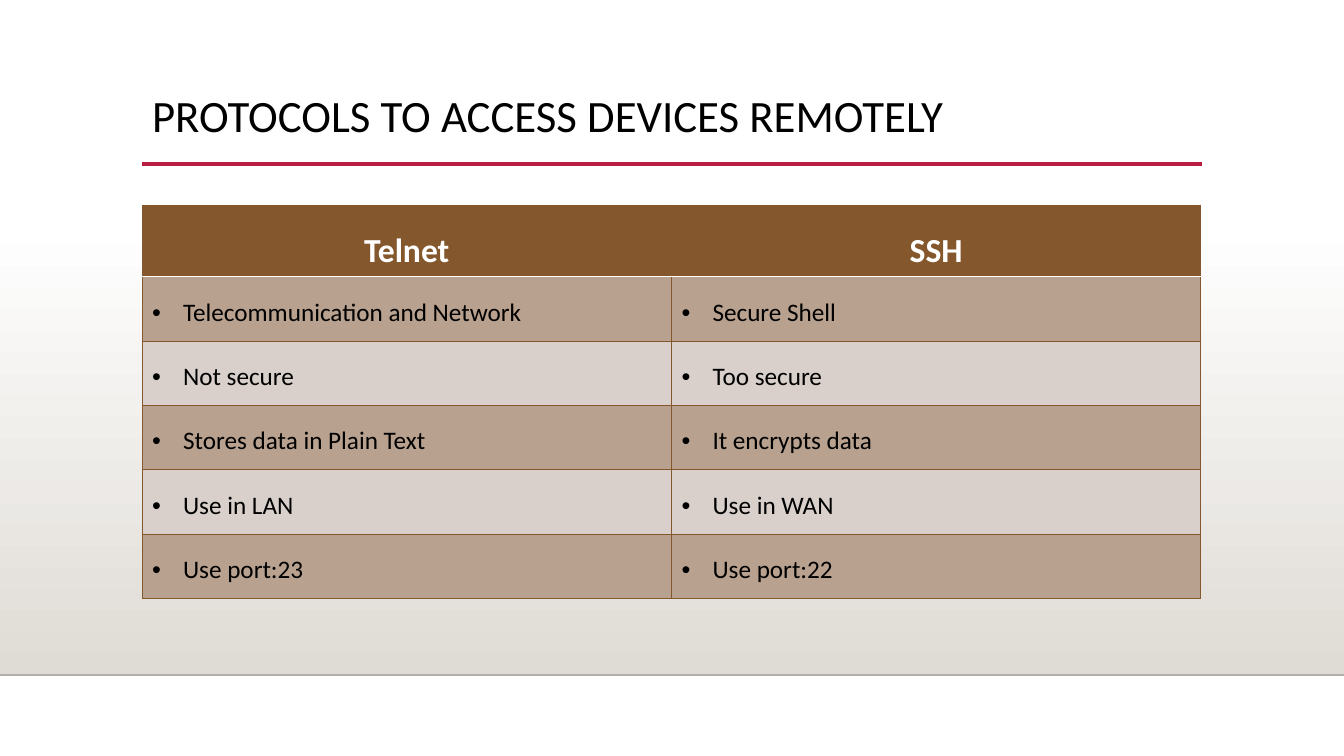
from lxml.etree import SubElement
from pptx import Presentation
from pptx.dml.color import RGBColor
from pptx.enum.shapes import MSO_CONNECTOR, MSO_SHAPE
from pptx.enum.text import MSO_ANCHOR, PP_ALIGN
from pptx.oxml import parse_xml
from pptx.oxml.ns import nsdecls, qn
from pptx.util import Pt

PX = 914400 / 100.8
FONT = "Calibri"
COLORS = {
    "text": "000000",
    "white": "FFFFFF",
    "brown": "84582C",
    "dark_band": "B8A18E",
    "light_band": "D9D0CB",
    "floor": "DFDBD5",
    "floor_edge": "B2AFAA",
    "accent": "B71E42",
}
ROWS = [
    ("Telnet", "SSH"),
    ("Telecommunication and Network", "Secure Shell"),
    ("Not secure", "Too secure"),
    ("Stores data in Plain Text", "It encrypts data"),
    ("Use in LAN", "Use in WAN"),
    ("Use port:23", "Use port:22"),
]


def px(length):
    return round(length * PX)


def color(name):
    return RGBColor.from_string(COLORS[name])


def style_font(font, size, name, bold=False):
    font.name = FONT
    font.size = Pt(size)
    font.bold = bold
    font.color.rgb = color(name)


def add_rule(page, left, top, width, name, weight):
    rule = page.shapes.add_connector(
        MSO_CONNECTOR.STRAIGHT, px(left), px(top), px(left + width), px(top)
    )
    rule.line.color.rgb = color(name)
    rule.line.width = Pt(weight)
    SubElement(rule._element.spPr, qn("a:effectLst"))


def add_floor(page, left, top, width, height):
    floor = page.shapes.add_shape(
        MSO_SHAPE.RECTANGLE, px(left), px(top), px(width), px(height)
    )
    floor.shadow.inherit = False
    floor.line.fill.background()
    floor.fill.gradient()
    floor.fill.gradient_angle = 270
    for stop, name in zip(floor.fill.gradient_stops, ("white", "floor")):
        stop.color.rgb = color(name)
    floor.fill.gradient_stops[0].position = 0
    floor.fill.gradient_stops[1].position = 1
    add_rule(page, left, top + height, width, "floor_edge", 1)


def add_title(page, left, top, width, height):
    title = page.shapes.title
    title.left, title.top = px(left), px(top)
    title.width, title.height = px(width), px(height)
    frame = title.text_frame
    frame.text = "PROTOCOLS TO ACCESS DEVICES REMOTELY"
    frame.word_wrap = True
    frame.vertical_anchor = MSO_ANCHOR.TOP
    para = frame.paragraphs[0]
    para.alignment = PP_ALIGN.LEFT
    para.line_spacing = 0.9
    style_font(para.font, 32, "text")
    add_rule(page, left, top + 75, width, "accent", 2.5)


def set_borders(cell, sides):
    properties = cell._tc.get_or_add_tcPr()
    for index, (side, (name, weight)) in enumerate(sides.items()):
        border = parse_xml(
            f'<a:ln{side} {nsdecls("a")} w="{Pt(weight)}"><a:solidFill>'
            f'<a:srgbClr val="{COLORS[name]}"/></a:solidFill></a:ln{side}>'
        )
        properties.insert(index, border)


def add_bullet(para):
    properties = para._p.get_or_add_pPr()
    properties.set("marL", str(px(31)))
    properties.set("indent", str(-px(31)))
    SubElement(properties, qn("a:buFont")).set("typeface", "Arial")
    SubElement(properties, qn("a:buChar")).set("char", "•")


def fill_cell(cell, text, row):
    header = row == 0
    cell.text = text
    para = cell.text_frame.paragraphs[0]
    para.line_spacing = 1.5
    if header:
        para.alignment = PP_ALIGN.CENTER
        style_font(para.font, 24, "white", bold=True)
        band = "brown"
    else:
        add_bullet(para)
        style_font(para.font, 18, "text")
        band = "dark_band" if row % 2 else "light_band"
    cell.fill.solid()
    cell.fill.fore_color.rgb = color(band)
    sides = dict.fromkeys("LRTB", ("brown", 0.75))
    if header:
        sides["B"] = ("white", 1.25)
    elif row == 1:
        sides["T"] = ("white", 1.25)
    set_borders(cell, sides)


def add_comparison(page, left, top, width, height, header_height):
    table = page.shapes.add_table(
        len(ROWS), len(ROWS[0]), px(left), px(top), px(width), px(height)
    ).table
    body_height = (height - header_height) / (len(ROWS) - 1)
    for row, texts in enumerate(ROWS):
        table.rows[row].height = px(body_height if row else header_height)
        for column, text in enumerate(texts):
            fill_cell(table.cell(row, column), text, row)


def build_slide(deck):
    page = deck.slides.add_slide(deck.slide_layouts[5])
    add_floor(page, 0, 223, 1344, 452)
    add_title(page, 142, 89, 1060, 82)
    add_comparison(page, 142, 205, 1059, 393, 71)


def main():
    deck = Presentation()
    deck.slide_width, deck.slide_height = px(1344), px(756)
    build_slide(deck)
    deck.save("out.pptx")


if __name__ == "__main__":
    main()
